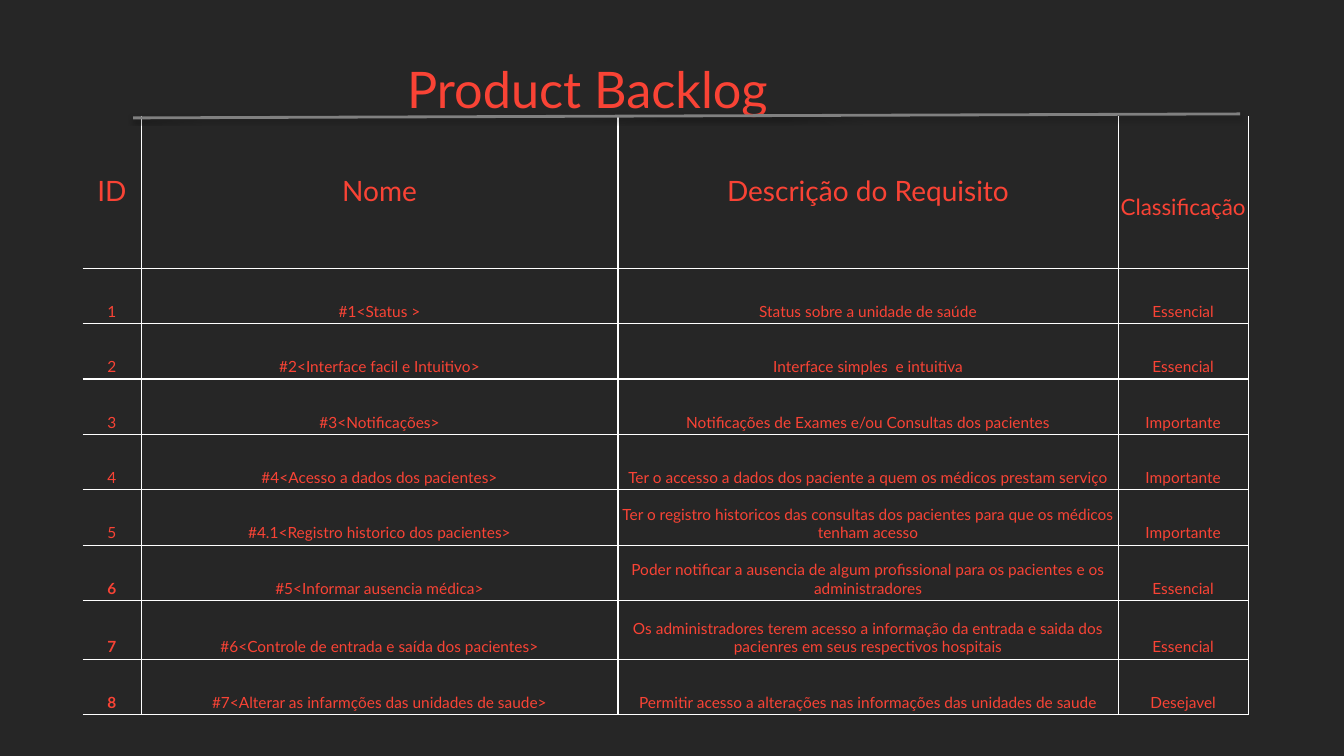
"""Build the product backlog slide."""
from dataclasses import dataclass

from lxml import etree
from pptx import Presentation
from pptx import util as u
from pptx.dml.color import RGBColor
from pptx.enum import shapes, text
from pptx.oxml import ns


@dataclass(frozen=True)
class Theme:
    font: str = "Lato"
    background: str = "262626"
    accent: str = "F94335"
    grid: str = "FFFFFF"
    rule: str = "808080"
    shadow: str = "000000"
    title_size: int = 36
    header_size: int = 20
    small_header_size: int = 16
    body_size: int = 11
    grid_width: int = 1
    rule_width: int = 2


class SlideBuilder:
    def __init__(self, slide, theme):
        self.slide = slide
        self.theme = theme
        fill = slide.background.fill
        fill.solid()
        fill.fore_color.rgb = RGBColor.from_string(theme.background)

    def style(self, paragraph, size, bold=False):
        font = paragraph.font
        font.name = self.theme.font
        font.size = u.Pt(size)
        font.bold = bold
        font.color.rgb = RGBColor.from_string(self.theme.accent)

    def title(self, wording, left, top, width, height):
        box = self.slide.shapes.add_textbox(*map(u.Inches, (left, top, width, height)))
        frame = box.text_frame
        frame.word_wrap = True
        frame.text = wording
        self.style(frame.paragraphs[0], self.theme.title_size)

    def rule(self, start, end):
        line = self.slide.shapes.add_connector(
            shapes.MSO_CONNECTOR.STRAIGHT, *map(u.Inches, start + end))
        line.line.color.rgb = RGBColor.from_string(self.theme.rule)
        line.line.width = u.Pt(self.theme.rule_width)
        properties = line._element.spPr
        effects = etree.SubElement(properties, ns.qn("a:effectLst"))
        shadow = etree.SubElement(
            effects, ns.qn("a:outerShdw"), blurRad=str(u.Pt(3.1)),
            dist=str(u.Pt(1.6)), dir="5400000", rotWithShape="0")
        color = etree.SubElement(shadow, ns.qn("a:srgbClr"), val=self.theme.shadow)
        etree.SubElement(color, ns.qn("a:alpha"), val="38000")

    def borders(self, cell, visible):
        properties = cell._tc.get_or_add_tcPr()
        for side in "LRTB":
            line = etree.SubElement(properties, ns.qn(f"a:ln{side}"),
                                    w=str(u.Pt(self.theme.grid_width)))
            if side in visible:
                fill = etree.SubElement(line, ns.qn("a:solidFill"))
                etree.SubElement(fill, ns.qn("a:srgbClr"), val=self.theme.grid)
            else:
                etree.SubElement(line, ns.qn("a:noFill"))

    def cell(self, cell, wording, size, anchor, visible, bold=False, top=0.01):
        self.borders(cell, visible)
        cell.fill.background()
        cell.vertical_anchor = anchor
        cell.margin_left = cell.margin_right = u.Inches(0.01)
        cell.margin_top = u.Inches(top)
        cell.margin_bottom = u.Inches(0.03)
        cell.text = wording
        paragraph = cell.text_frame.paragraphs[0]
        paragraph.alignment = text.PP_ALIGN.CENTER
        self.style(paragraph, size, bold)

    def backlog(self, rows, left, top, widths, heights, first_bold_row):
        frame = self.slide.shapes.add_table(
            len(rows), len(widths),
            *map(u.Inches, (left, top, sum(widths), sum(heights))))
        table = frame.table
        table.first_row = table.horz_banding = False
        for column, width in zip(table.columns, widths):
            column.width = u.Inches(width)
        for row, height in zip(table.rows, heights):
            row.height = u.Inches(height)
        last = len(widths) - 1
        for i, row in enumerate(rows):
            for j, wording in enumerate(row):
                visible = "RB" + ("L" if j else "") + ("T" if i else "")
                cell = table.cell(i, j)
                if i:
                    self.cell(cell, wording, self.theme.body_size,
                              text.MSO_ANCHOR.BOTTOM, visible,
                              bold=j == 0 and i >= first_bold_row)
                elif j < last:
                    self.cell(cell, wording, self.theme.header_size,
                              text.MSO_ANCHOR.MIDDLE, visible)
                else:
                    self.cell(cell, wording, self.theme.small_header_size,
                              text.MSO_ANCHOR.MIDDLE, visible, top=0.33)


HEADER = ("ID", "Nome", "Descrição do Requisito", "Classificação")
REQUIREMENTS = [
    ("#1<Status >", "Status sobre a unidade de saúde", "Essencial"),
    ("#2<Interface facil e Intuitivo>", "Interface simples  e intuitiva", "Essencial"),
    ("#3<Notificações>", "Notificações de Exames e/ou Consultas dos pacientes",
     "Importante"),
    ("#4<Acesso a dados dos pacientes>",
     "Ter o accesso a dados dos paciente a quem os médicos prestam serviço",
     "Importante"),
    ("#4.1<Registro historico dos pacientes>",
     "Ter o registro historicos das consultas dos pacientes para que os médicos "
     "tenham acesso", "Importante"),
    ("#5<Informar ausencia médica>",
     "Poder notificar a ausencia de algum profissional para os pacientes e os "
     "administradores", "Essencial"),
    ("#6<Controle de entrada e saída dos pacientes>",
     "Os administradores terem acesso a informação da entrada e saida dos "
     "pacienres em seus respectivos hospitais", "Essencial"),
    ("#7<Alterar as infarmções das unidades de saude>",
     "Permitir acesso a alterações nas informações das unidades de saude",
     "Desejavel"),
]

presentation = Presentation()
presentation.slide_width = u.Inches(13.33)
presentation.slide_height = u.Inches(7.5)
slide = presentation.slides.add_slide(presentation.slide_layouts[6])
builder = SlideBuilder(slide, Theme())

numbered = [(str(n), *row) for n, row in enumerate(REQUIREMENTS, 1)]
builder.backlog([HEADER] + numbered, left=0.82, top=1.15,
                widths=(0.58, 4.73, 4.96, 1.29),
                heights=[1.51] + [0.55] * 6 + [0.58, 0.55], first_bold_row=6)
builder.title("Product Backlog", 3.94, 0.53, 5.24, 0.71)
builder.rule((1.32, 1.17), (12.3, 1.13))

presentation.save("out.pptx")
